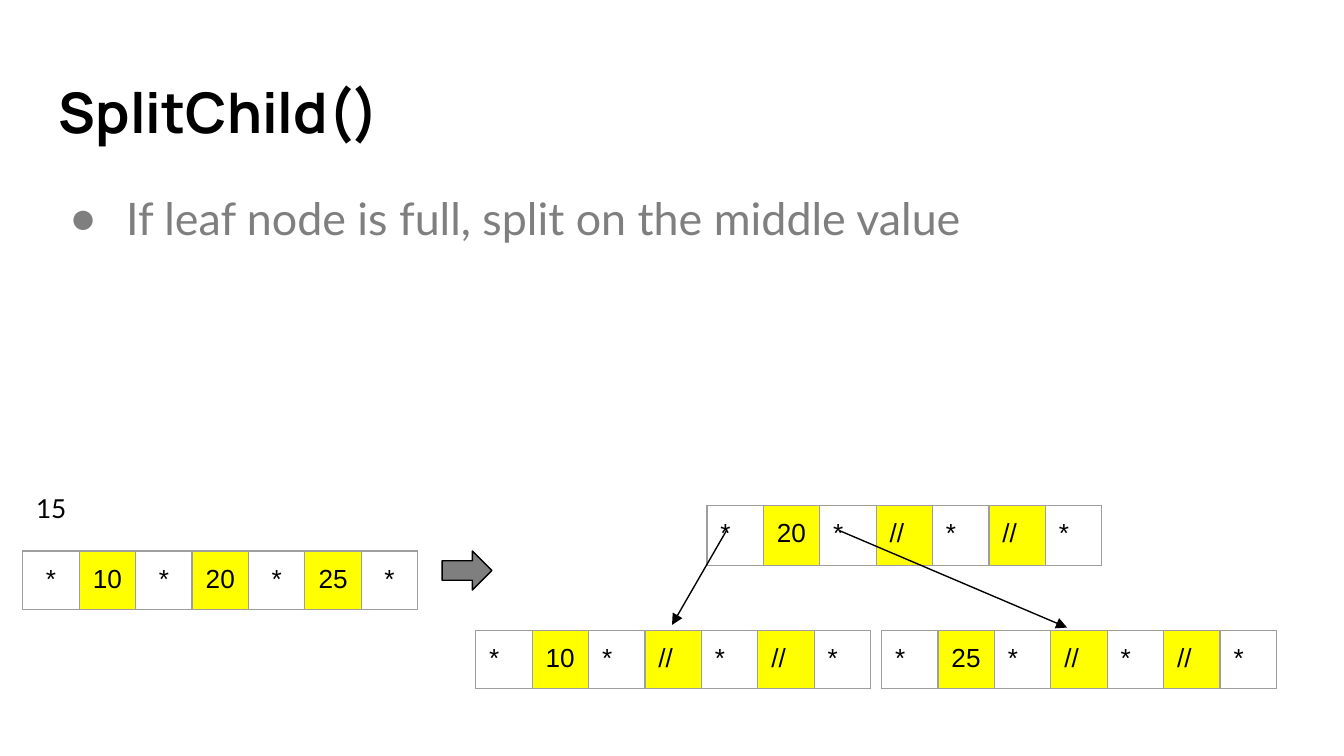
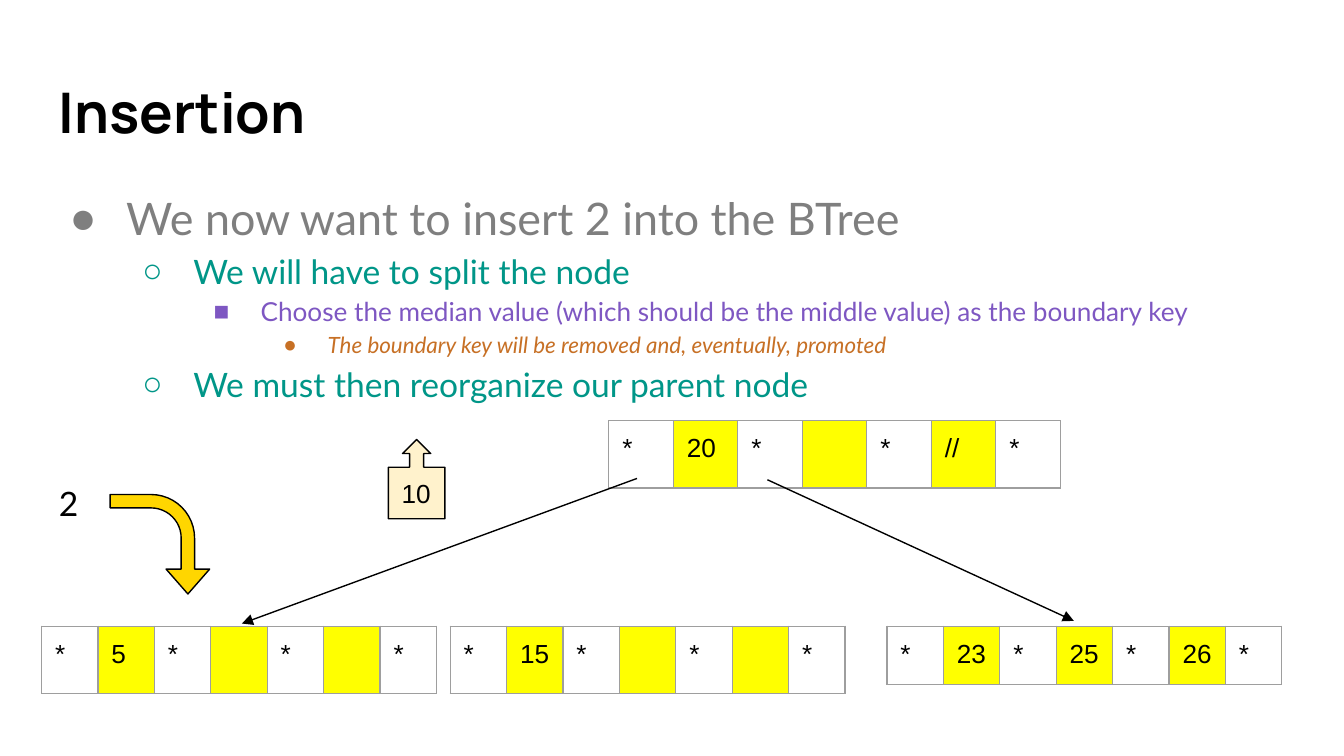
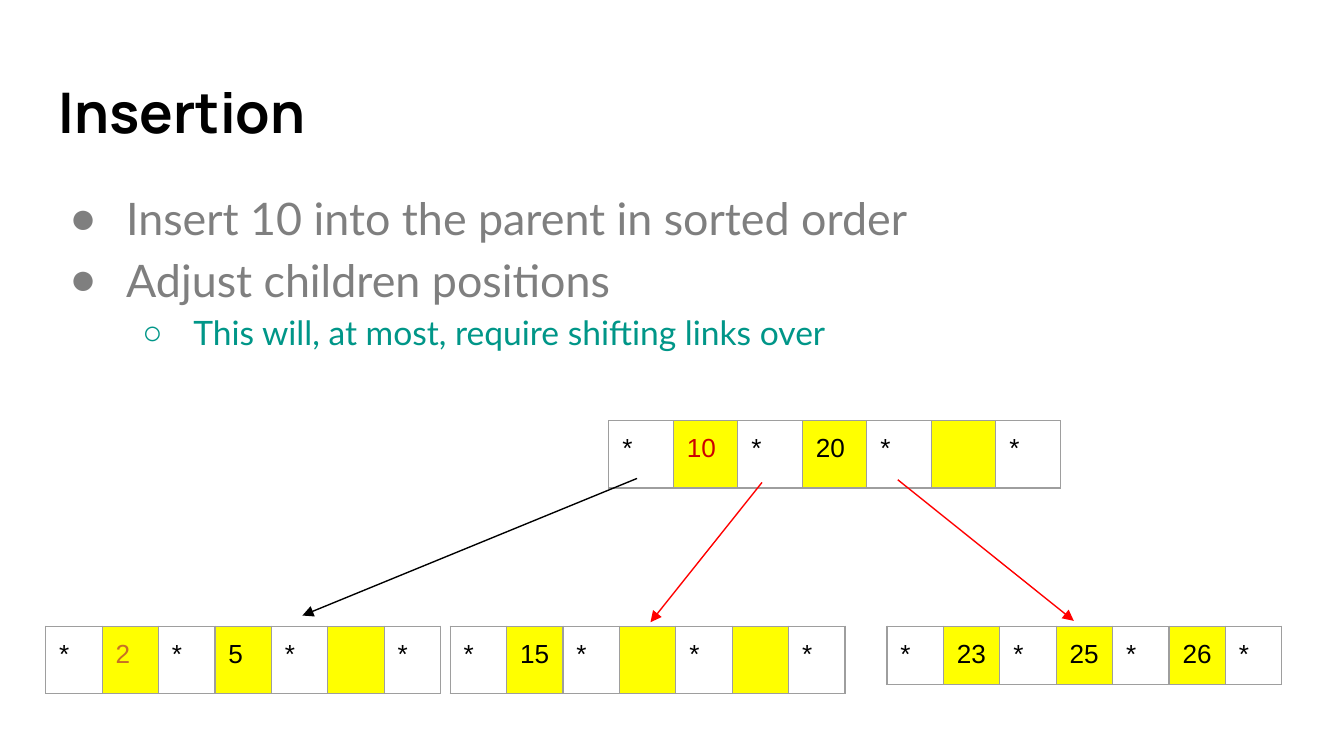
from lxml import etree
from pptx import Presentation
from pptx.dml.color import RGBColor
from pptx.enum.shapes import MSO_CONNECTOR, MSO_SHAPE
from pptx.enum.text import MSO_ANCHOR, PP_ALIGN
from pptx.oxml.ns import qn
from pptx.util import Inches, Pt

STRAIGHT = MSO_CONNECTOR.STRAIGHT
RIGHT_ARROW = MSO_SHAPE.RIGHT_ARROW
BENT_ARROW = MSO_SHAPE.BENT_ARROW
UP_CALLOUT = MSO_SHAPE.UP_ARROW_CALLOUT
TOP, MIDDLE = MSO_ANCHOR.TOP, MSO_ANCHOR.MIDDLE
LEFT, CENTER = PP_ALIGN.LEFT, PP_ALIGN.CENTER

# Colours
BLACK, GREY, BORDER = "000000", "7F7F7F", "9E9E9E"
YELLOW, GOLD, CREAM = "FFFF00", "FFD600", "FFF2CC"
TEAL, PURPLE, ORANGE = "009688", "7E57C2", "C77025"
RED, DARK_RED = "FF0000", "CC0000"

# Outline levels: bullet, size, colour, hanging indent, italic
LEVELS = [
    ("●", 24, GREY, 0.42, False),
    ("○", 18, TEAL, 0.38, False),
    ("■", 14, PURPLE, 0.35, False),
    ("●", 12, ORANGE, 0.33, True),
]


def colour(value):
    return RGBColor.from_string(value)


class Deck:
    title_font, body_font, node_font = "Manrope", "Lato", "Arial"
    margin, content_width = 0.34, 9.32
    line_width = Pt(0.75)

    def __init__(self):
        self.presentation = Presentation()
        self.presentation.slide_width = Inches(10)
        self.presentation.slide_height = Inches(10 * 9 / 16)
        self.slide = None

    def new_slide(self, title):
        layout = self.presentation.slide_layouts[6]
        self.slide = self.presentation.slides.add_slide(layout)
        self.text(title, self.margin, 0.49, self.content_width, 0.68, 30,
                  font=self.title_font, bold=True, anchor=MIDDLE)

    def format_frame(self, text_frame, anchor):
        text_frame.word_wrap = True
        text_frame.vertical_anchor = anchor
        text_frame.margin_left = text_frame.margin_right = Inches(0.1)
        text_frame.margin_top = text_frame.margin_bottom = Inches(0.1)

    def format_runs(self, paragraph, size, font, value=BLACK, bold=False, italic=False):
        for run in paragraph.runs:
            run.font.size = Pt(size)
            run.font.name = font
            run.font.bold = bold
            run.font.italic = italic
            run.font.color.rgb = colour(value)

    def text(self, content, left, top, width, height, size,
             font=body_font, bold=False, anchor=TOP):
        box = self.slide.shapes.add_textbox(
            Inches(left), Inches(top), Inches(width), Inches(height))
        self.format_frame(box.text_frame, anchor)
        box.text_frame.text = content
        self.format_runs(box.text_frame.paragraphs[0], size, font, bold=bold)

    def outline(self, items, height=1.78):
        """Bulleted body; items are (level, text) pairs."""
        box = self.slide.shapes.add_textbox(
            Inches(self.margin), Inches(1.26), Inches(self.content_width), Inches(height))
        self.format_frame(box.text_frame, TOP)
        box.text_frame.text = "\n".join(content for _, content in items)
        for paragraph, (level, _) in zip(box.text_frame.paragraphs, items):
            bullet, size, value, hanging, italic = LEVELS[level]
            paragraph.level = level
            paragraph.line_spacing = 1.15
            self.format_runs(paragraph, size, self.body_font, value, italic=italic)
            properties = paragraph._p.get_or_add_pPr()
            properties.set("marL", str(Inches(0.5 * (level + 1))))
            properties.set("indent", str(-Inches(hanging)))
            bullet_colour = etree.SubElement(properties, qn("a:buClr"))
            etree.SubElement(bullet_colour, qn("a:srgbClr"), val=value)
            etree.SubElement(properties, qn("a:buFont"), typeface=self.node_font)
            etree.SubElement(properties, qn("a:buChar"), char=bullet)

    def cell_borders(self, cell):
        properties = cell._tc.get_or_add_tcPr()
        for position, side in enumerate(("lnL", "lnR", "lnT", "lnB")):
            line = etree.Element(qn("a:" + side), w=str(self.line_width))
            fill = etree.SubElement(line, qn("a:solidFill"))
            etree.SubElement(fill, qn("a:srgbClr"), val=BORDER)
            properties.insert(position, line)

    def node(self, left, top, keys, column=0.42, height=None, align=LEFT, accents=None):
        """B-tree node: yellow keys between * links; accents colour single keys."""
        accents = accents or {}
        values = ["*"]
        for key in keys:
            values += [key, "*"]
        height = height or (0.34 if all(keys) else 0.43)
        table = self.slide.shapes.add_table(
            1, len(values), Inches(left), Inches(top),
            Inches(column * len(values)), Inches(height)).table
        table.first_row = table.horz_banding = False
        for index, value in enumerate(values):
            table.columns[index].width = Inches(column)
            cell = table.cell(0, index)
            cell.margin_left = cell.margin_right = Inches(0.1)
            cell.margin_top = cell.margin_bottom = Inches(0.1)
            if index % 2:
                cell.fill.solid()
                cell.fill.fore_color.rgb = colour(YELLOW)
            else:
                cell.fill.background()
            self.cell_borders(cell)
            if value:
                cell.text_frame.text = value
                paragraph = cell.text_frame.paragraphs[0]
                paragraph.alignment = align
                self.format_runs(paragraph, 14, self.node_font, accents.get(value, BLACK))

    def arrow(self, start, end, value=BLACK):
        connector = self.slide.shapes.add_connector(
            STRAIGHT, *(Inches(length) for length in start + end))
        connector.line.color.rgb = colour(value)
        connector.line.width = self.line_width
        etree.SubElement(connector.line._get_or_add_ln(), qn("a:tailEnd"), type="triangle")
        etree.SubElement(connector._element.spPr, qn("a:effectLst"))

    def shape(self, kind, left, top, width, height, fill, adjustments,
              content="", rotation=0):
        shape = self.slide.shapes.add_shape(
            kind, Inches(left), Inches(top), Inches(width), Inches(height))
        shape.shadow.inherit = False
        shape.rotation = rotation
        shape.fill.solid()
        shape.fill.fore_color.rgb = colour(fill)
        shape.line.color.rgb = colour(BLACK)
        shape.line.width = self.line_width
        for index, adjustment in enumerate(adjustments):
            shape.adjustments[index] = adjustment
        if content:
            self.format_frame(shape.text_frame, MIDDLE)
            shape.text_frame.text = content
            paragraph = shape.text_frame.paragraphs[0]
            paragraph.alignment = LEFT
            self.format_runs(paragraph, 14, self.node_font)

    def insertion_tree(self, parent_keys, left_keys, left_edge, left_tip, accents=None):
        """Parent with three leaves; the two right leaves stay the same."""
        leaf_top = 4.66
        self.node(4.53, 3.13, parent_keys, column=0.48, accents=accents)
        self.node(left_edge, leaf_top, left_keys, accents=accents)
        self.node(3.35, leaf_top, ["15", "", ""])
        self.arrow((4.74, 3.56), left_tip)
        self.node(6.6, leaf_top, ["23", "25", "26"])


deck = Deck()

# Slide 1: splitting a full leaf
deck.new_slide("SplitChild()")
deck.outline([(0, "If leaf node is full, split on the middle value")], height=2.3)
deck.node(5.26, 3.76, ["20", "//", "//"], height=0.45)
deck.node(3.54, 4.69, ["10", "//", "//"])
deck.node(6.56, 4.69, ["25", "//", "//"])
deck.arrow((5.41, 3.94), (5, 4.65))
deck.arrow((6.25, 3.95), (7.94, 4.67))
deck.node(0.17, 4.1, ["10", "20", "25"], align=CENTER)
deck.shape(RIGHT_ARROW, 3.29, 4.1, 0.37, 0.29, GREY, [0.5, 0.5])
deck.text("15", 0.17, 3.56, 0.6, 0.45, 14)

# Slide 2: inserting 2 and promoting 10
deck.new_slide("Insertion")
deck.outline([
    (0, "We now want to insert 2 into the BTree"),
    (1, "We will have to split the node"),
    (2, "Choose the median value (which should be the middle value) as the boundary key"),
    (3, "The boundary key will be removed and, eventually, promoted"),
    (1, "We must then reorganize our parent node"),
])
deck.insertion_tree(["20", "", "//"], ["5", "", ""], 0.31, (1.8, 4.64))
deck.arrow((5.71, 3.57), (7.99, 4.62))
deck.shape(UP_CALLOUT, 2.89, 3.27, 0.42, 0.59, CREAM, [0.25, 0.25, 0.25, 0.65], content="10")
deck.text("2", 0.34, 3.49, 0.6, 0.45, 18)
deck.shape(BENT_ARROW, 0.82, 3.68, 0.74, 0.74, GOLD, [0.135, 0.219, 0.25, 0.438], rotation=90)

# Slide 3: the parent after the insertion
deck.new_slide("Insertion")
deck.outline([
    (0, "Insert 10 into the parent in sorted order"),
    (0, "Adjust children positions"),
    (1, "This will, at most, require shifting links over"),
])
deck.insertion_tree(["10", "20", ""], ["2", "5", ""], 0.34, (2.25, 4.58),
                    accents={"10": DARK_RED, "2": ORANGE})
deck.arrow((6.68, 3.57), (7.99, 4.62), RED)
deck.arrow((5.67, 3.59), (4.84, 4.63), RED)

deck.presentation.save("out.pptx")
